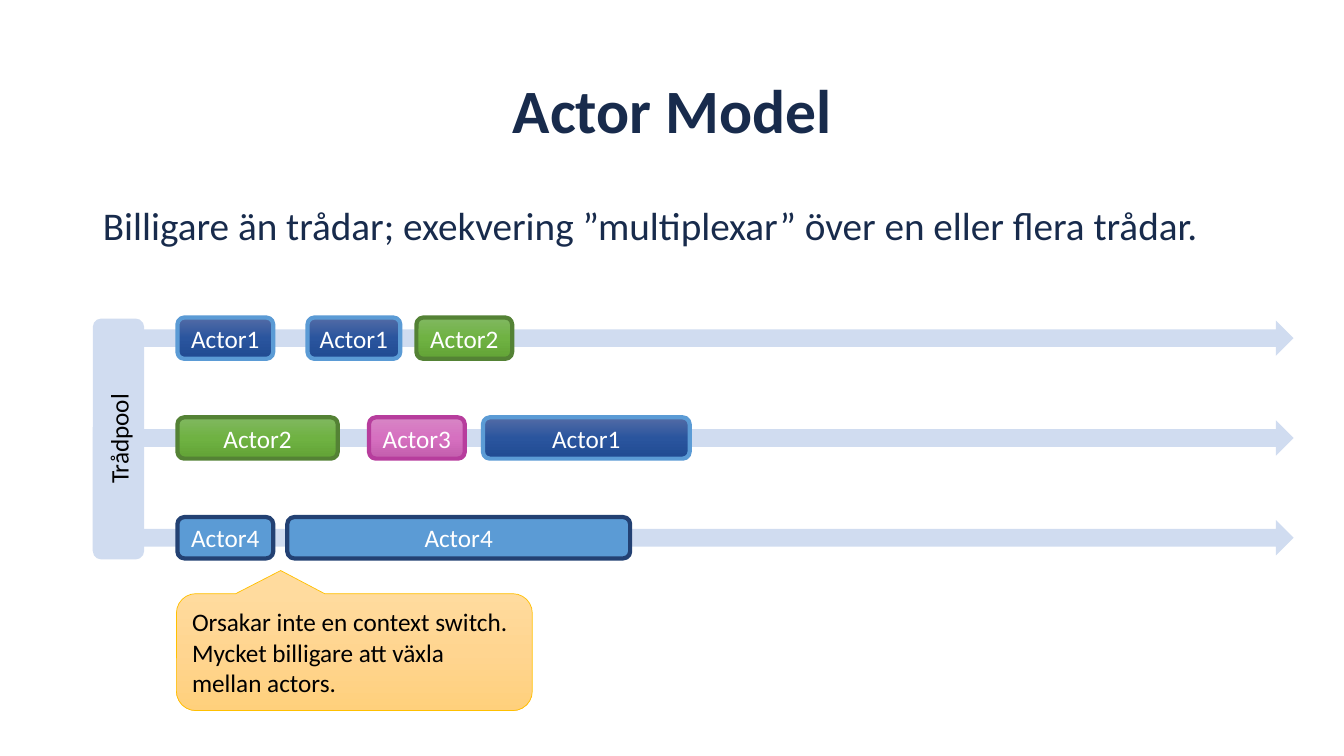
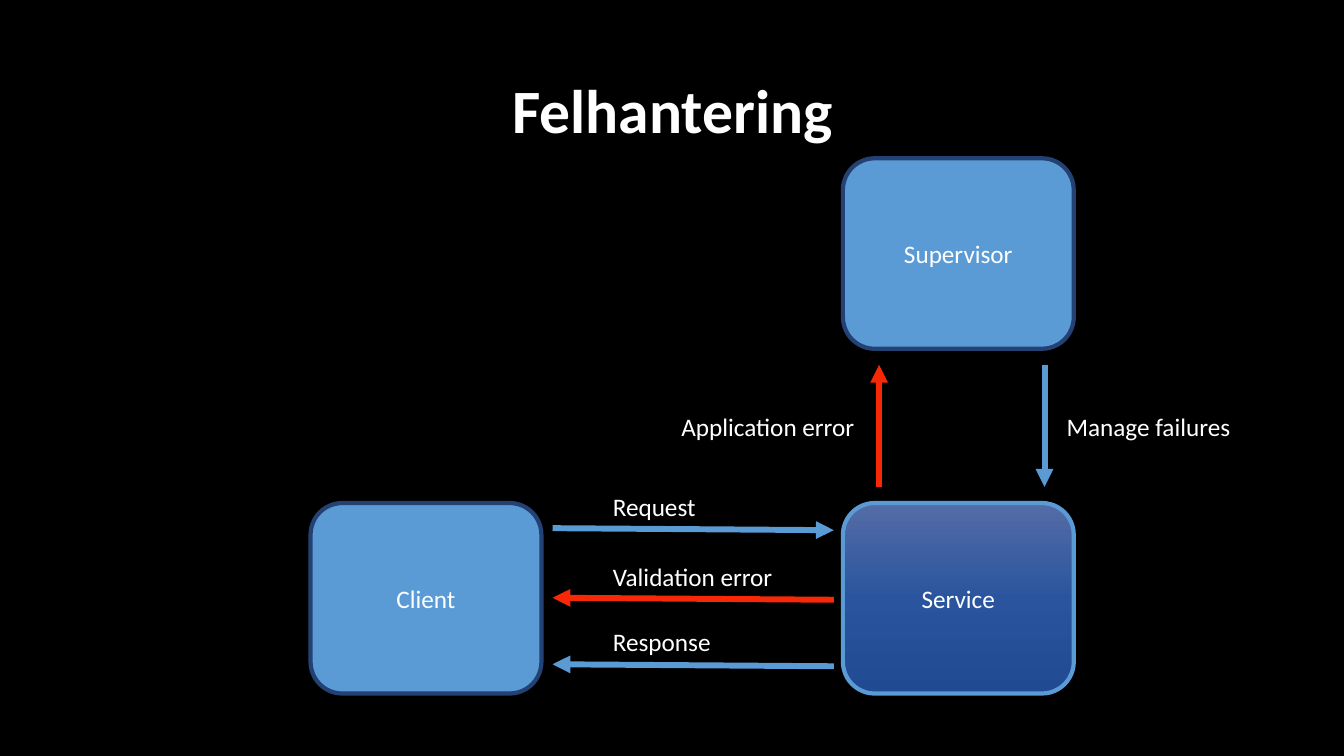
"""Build two slides on the actor model: thread multiplexing and error handling."""
from copy import deepcopy

from pptx import Presentation
from pptx.dml.color import RGBColor
from pptx.enum.shapes import MSO_CONNECTOR, MSO_SHAPE
from pptx.enum.text import MSO_ANCHOR, MSO_AUTO_SIZE, PP_ALIGN
from pptx.oxml.ns import qn
from pptx.util import Inches, Pt
from lxml.etree import SubElement

FONT = "Calibri"
COLORS = {
    "white": "FFFFFF", "black": "000000", "navy": "182B4C",
    "pale": "D0DCF0", "blue": "5B9BD5", "red": "F62806",
}
STYLES = {
    "pale": (["D0DCF0"], None, 0),
    "sky": (["5B9BD5"], "234173", 3),
    "royal": (["546CA6", "2A559E", "204A91"], "5B9BD5", 3),
    "green": (["81B861", "6FB242", "62A336"], "548235", 3),
    "pink": (["D786C5", "D670C0", "C35EAD"], "B73D9D", 3),
    "amber": (["FFDB9E", "FFD590", "FFD07C"], "FFC000", 0.5),
}
ACTOR_STYLES = {"Actor1": "royal", "Actor2": "green", "Actor3": "pink", "Actor4": "sky"}

INTRO = "Billigare än trådar; exekvering ”multiplexar” över en eller flera trådar."
THREADS = [
    [("Actor1", 1.76, 0.95), ("Actor1", 3.05, 0.92), ("Actor2", 4.13, 0.95)],
    [("Actor2", 1.76, 1.59), ("Actor3", 3.66, 0.95), ("Actor1", 4.79, 2.05)],
    [("Actor4", 1.76, 0.95), ("Actor4", 2.85, 3.4)],
]
THREAD_TOP, THREAD_PITCH = 3.18, 0.99
CALLOUT = ["Orsakar inte en context switch.", "Mycket billigare att växla mellan actors."]
CALLOUT_ADJUSTMENTS = (-0.207, -0.698, 0.167)

NODE_SIZE = (2.29, 1.89)
NODES = [
    ("Client", 3.08, 4.99, "sky"),
    ("Service", 8.36, 4.99, "royal"),
    ("Supervisor", 8.36, 1.57, "sky"),
]
MESSAGES = [
    ("Request", (5.98, 4.83, 1.03), (5.48, 5.24), (8.27, 5.26), "blue"),
    ("Validation error", (5.98, 5.52, 1.8), (8.27, 5.95), (5.48, 5.93), "red"),
    ("Response", (5.98, 6.16, 1.18), (8.27, 6.61), (5.48, 6.59), "blue"),
    ("Application error", (6.66, 4.03, 1.94), (8.72, 4.83), (8.72, 3.62), "red"),
    ("Manage failures", (10.48, 4.03, 1.84), (10.36, 3.62), (10.36, 4.83), "blue"),
]


def rgb(value):
    """Turn a hex string into a colour."""
    return RGBColor.from_string(value)


def write(frame, lines, color, size=18, align=PP_ALIGN.LEFT, bold=False):
    """Fill a text frame with equally formatted paragraphs."""
    for index, line in enumerate(lines):
        para = frame.paragraphs[0] if index == 0 else frame.add_paragraph()
        para.text = line
        para.alignment = align
        para.font.name = FONT
        para.font.size = Pt(size)
        para.font.bold = bold
        para.font.color.rgb = rgb(COLORS[color])


def place(shape, left, top, width, height):
    """Move and size a shape."""
    shape.left, shape.top = Inches(left), Inches(top)
    shape.width, shape.height = Inches(width), Inches(height)


def add_page(deck, layout, title, background, color):
    """Add a slide with a coloured background and the shared title style."""
    page = deck.slides.add_slide(deck.slide_layouts.get_by_name(layout))
    page.background.fill.solid()
    page.background.fill.fore_color.rgb = rgb(COLORS[background])
    place(page.shapes.title, 0.92, 0.4, 11.5, 1.45)
    frame = page.shapes.title.text_frame
    frame.auto_size = MSO_AUTO_SIZE.NONE
    frame.vertical_anchor = MSO_ANCHOR.MIDDLE
    write(frame, [title], color, 44, PP_ALIGN.CENTER, True)
    frame.paragraphs[0].line_spacing = 0.9
    return page


def add_body(page, text):
    """Put an unbulleted line into the body placeholder."""
    body = page.placeholders[1]
    place(body, 0.92, 2, 11.5, 4.76)
    frame = body.text_frame
    frame.auto_size = MSO_AUTO_SIZE.NONE
    para = frame.paragraphs[0]
    props = para._p.get_or_add_pPr()
    props.set("marL", "0")
    props.set("indent", "0")
    SubElement(props, qn("a:buNone"))
    write(frame, [text], "navy", 28)
    para.line_spacing = 0.9
    para.space_before = Pt(0)


def paint(shape, fills, outline, weight):
    """Apply a plain or vertical gradient fill and an outline."""
    shape.shadow.inherit = False
    if len(fills) == 1:
        shape.fill.solid()
        shape.fill.fore_color.rgb = rgb(fills[0])
    else:
        shape.fill.gradient()
        shape.fill.gradient_angle = 270
        stop_list = shape._element.spPr.find(qn("a:gradFill")).find(qn("a:gsLst"))
        stop_list.append(deepcopy(stop_list[0]))
        for index, (stop, value) in enumerate(zip(shape.fill.gradient_stops, fills)):
            stop.position = index / (len(fills) - 1)
            stop.color.rgb = rgb(value)
    if outline:
        shape.line.color.rgb = rgb(outline)
        shape.line.width = Pt(weight)
    else:
        shape.line.fill.background()


def add_box(page, kind, bounds, style, lines=(), color="white",
            align=PP_ALIGN.CENTER, wrap=False):
    """Add a styled preset shape with middle-anchored text."""
    box = page.shapes.add_shape(kind, *map(Inches, bounds))
    paint(box, *STYLES[style])
    box.text_frame.word_wrap = wrap
    box.text_frame.vertical_anchor = MSO_ANCHOR.MIDDLE
    write(box.text_frame, lines, color, align=align)
    return box


def add_arrow(page, start, end, color):
    """Draw a thick arrow from start to end."""
    arrow = page.shapes.add_connector(
        MSO_CONNECTOR.STRAIGHT, *map(Inches, (*start, *end)))
    arrow.line.color.rgb = rgb(COLORS[color])
    arrow.line.width = Pt(4.25)
    SubElement(arrow.line._get_or_add_ln(), qn("a:tailEnd"), type="triangle")
    SubElement(arrow._element.spPr, qn("a:effectLst"))


def add_label(page, text, left, top, width):
    """Add a single-line white label."""
    label = page.shapes.add_textbox(*map(Inches, (left, top, width, 0.4)))
    label.text_frame.word_wrap = False
    label.text_frame.auto_size = MSO_AUTO_SIZE.SHAPE_TO_FIT_TEXT
    write(label.text_frame, [text], "white")


def build_actor_model(deck):
    """Show actors multiplexed over a thread pool."""
    page = add_page(deck, "Title and Content", "Actor Model", "white", "navy")
    add_body(page, INTRO)
    for index, actors in enumerate(THREADS):
        top = THREAD_TOP + index * THREAD_PITCH
        add_box(page, MSO_SHAPE.RIGHT_ARROW, (1.43, top, 11.4, 0.35), "pale")
        for name, left, width in actors:
            add_box(page, MSO_SHAPE.ROUNDED_RECTANGLE, (left, top - 0.03, width, 0.41),
                    ACTOR_STYLES[name], [name])
    pool = add_box(page, MSO_SHAPE.ROUNDED_RECTANGLE, (-0.02, 4.1, 2.39, 0.51),
                   "pale", ["Trådpool"], "black")
    pool.rotation = 270
    callout = add_box(page, MSO_SHAPE.ROUNDED_RECTANGULAR_CALLOUT,
                      (1.75, 5.89, 3.53, 1.16), "amber", CALLOUT, "black",
                      PP_ALIGN.LEFT, True)
    for index, value in enumerate(CALLOUT_ADJUSTMENTS):
        callout.adjustments[index] = value


def build_error_handling(deck):
    """Show messages between client, service and supervisor."""
    page = add_page(deck, "Title Only", "Felhantering", "black", "white")
    for name, left, top, style in NODES:
        add_box(page, MSO_SHAPE.ROUNDED_RECTANGLE, (left, top, *NODE_SIZE), style, [name])
    for text, label_place, start, end, color in MESSAGES:
        add_arrow(page, start, end, color)
        add_label(page, text, *label_place)


def main():
    """Build and save the deck."""
    deck = Presentation()
    deck.slide_width, deck.slide_height = Inches(13.33), Inches(7.5)
    build_actor_model(deck)
    build_error_handling(deck)
    deck.save("out.pptx")


if __name__ == "__main__":
    main()
